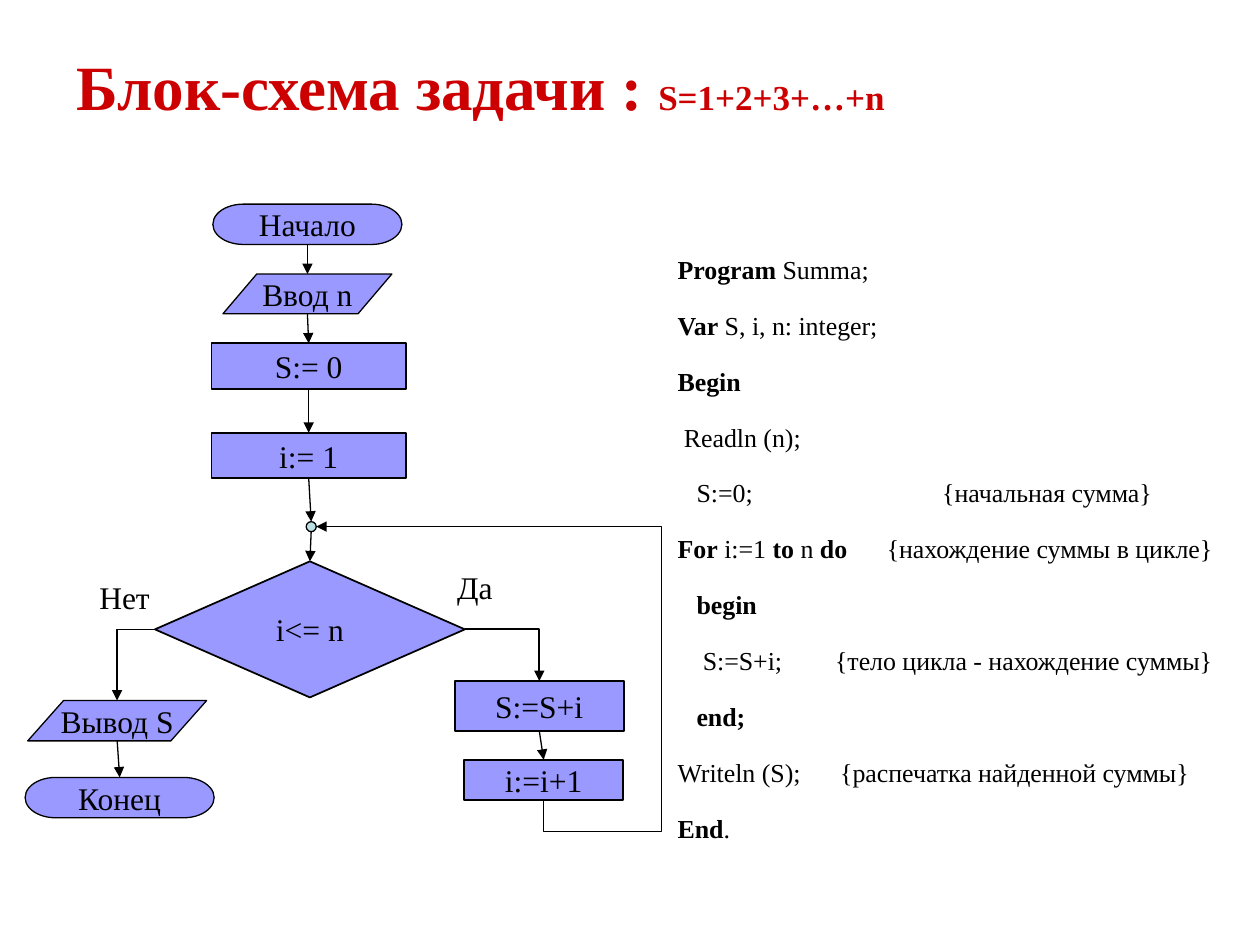
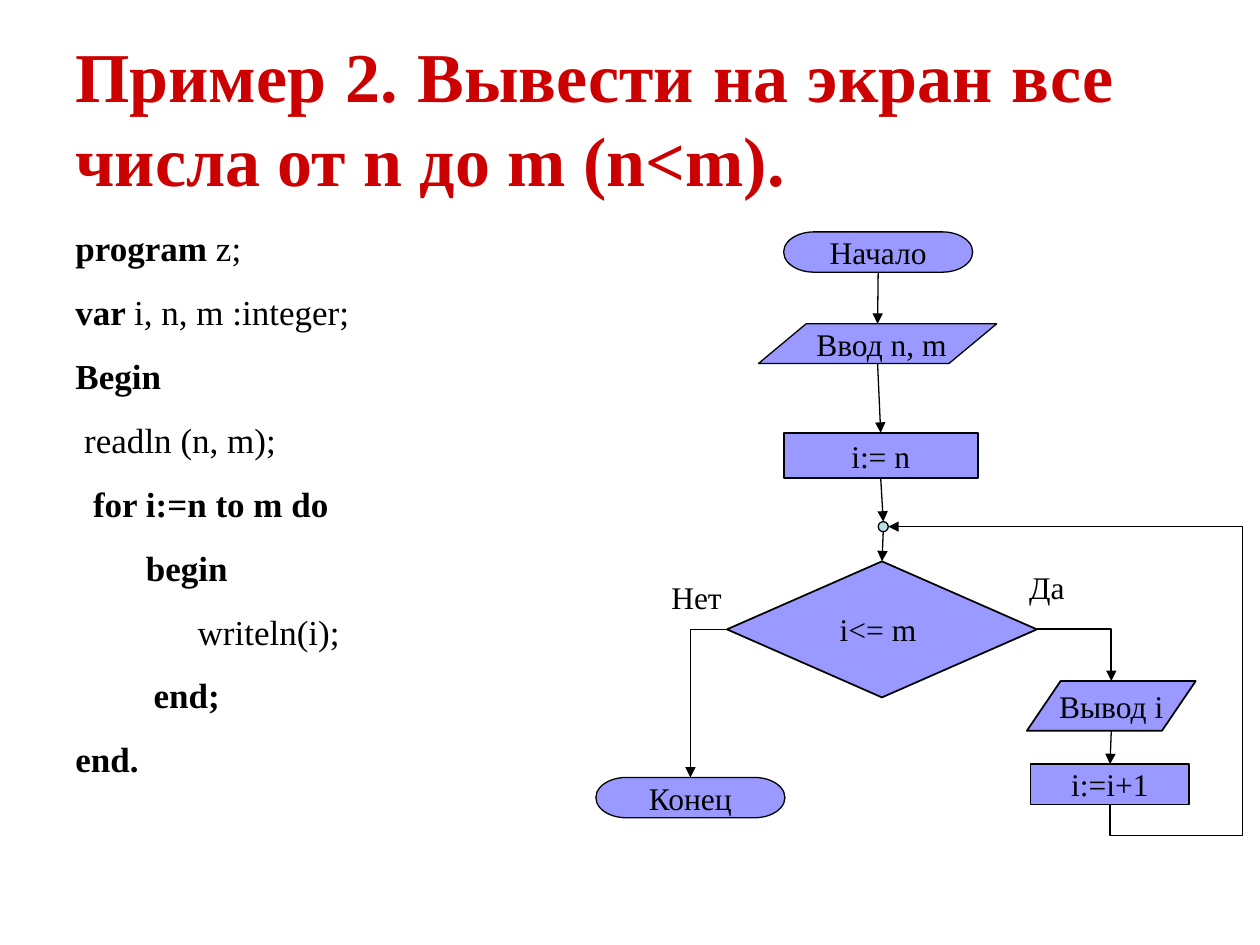
from lxml import etree
from pptx import Presentation
from pptx.dml.color import RGBColor
from pptx.enum.shapes import MSO_CONNECTOR, MSO_SHAPE
from pptx.enum.text import MSO_ANCHOR, PP_ALIGN
from pptx.oxml.ns import qn
from pptx.util import Inches, Pt

BLACK = RGBColor(0x00, 0x00, 0x00)
RED = RGBColor(0xCC, 0x00, 0x00)
LILAC = RGBColor(0x99, 0x99, 0xFF)
AQUA = RGBColor(0xBB, 0xE0, 0xE3)
FONT = "Times New Roman"
CELL = Inches(0.1)
COLS, ROWS = 100, 75
TOP, LEFT, BOTTOM, RIGHT = range(4)
STEP = MSO_SHAPE.FLOWCHART_PROCESS
TEST = MSO_SHAPE.FLOWCHART_DECISION
CAP = MSO_SHAPE.FLOWCHART_TERMINATOR
DATA = MSO_SHAPE.FLOWCHART_DATA
JOINT = MSO_SHAPE.FLOWCHART_CONNECTOR
STRAIGHT, ELBOW = MSO_CONNECTOR.STRAIGHT, MSO_CONNECTOR.ELBOW
MIDDLE = MSO_ANCHOR.MIDDLE
CENTER, JUSTIFY = PP_ALIGN.CENTER, PP_ALIGN.JUSTIFY
DROP = 2.5


def grid(*cells):
    """Turn grid cells into slide lengths."""
    return [int(n * CELL) for n in cells]


def write(para, text, size, color=BLACK, bold=False):
    """Add one run to a paragraph."""
    run = para.add_run()
    run.text = text
    font = run.font
    font.name, font.size, font.bold = FONT, Pt(size), bold
    font.color.rgb = color


def frame(slide, box):
    """Add a wrapping text box and return its text frame."""
    text = slide.shapes.add_textbox(*grid(*box)).text_frame
    text.word_wrap = True
    return text


def title(slide, box, runs, align=None):
    """Place the red heading, given as text and size pairs."""
    text = frame(slide, box)
    text.vertical_anchor = MIDDLE
    para = text.paragraphs[0]
    para.alignment = align
    for words, size in runs:
        write(para, words, size, RED, True)


def code(slide, box, lines, size, before, pitch):
    """List a program; a star marks a bold run, numbers are tab stops."""
    text = frame(slide, box)
    for index, (stops, *runs) in enumerate(lines):
        para = text.add_paragraph() if index else text.paragraphs[0]
        para.space_before, para.line_spacing = Pt(before), pitch
        if stops:
            tabs = etree.SubElement(para._p.get_or_add_pPr(), qn("a:tabLst"))
            for stop in stops:
                etree.SubElement(tabs, qn("a:tab"), pos=str(Inches(stop)), algn="l")
        for words in runs:
            write(para, words.removeprefix("*"), size, bold=words.startswith("*"))


def label(slide, box, words):
    """Name a branch of the test."""
    para = frame(slide, box).paragraphs[0]
    para.space_before = Pt(11.2)
    write(para, words, 18)


def node(slide, left, kind, box, words="", width=0.75, fill=LILAC):
    """Add one block of the chart."""
    x, y, w, h = box
    shape = slide.shapes.add_shape(kind, *grid(left + x, y, w, h))
    shape.shadow.inherit = False
    shape.fill.solid()
    shape.fill.fore_color.rgb = fill
    shape.line.color.rgb = BLACK
    shape.line.width = Pt(width)
    if words:
        text = shape.text_frame
        text.word_wrap = False
        text.vertical_anchor = MIDDLE
        text.paragraphs[0].alignment = CENTER
        write(text.paragraphs[0], words, 18)
    return shape


def spot(shape, side):
    """Return the middle of one side of a block."""
    across = {LEFT: 0, RIGHT: shape.width}.get(side, shape.width // 2)
    down = {TOP: 0, BOTTOM: shape.height}.get(side, shape.height // 2)
    return shape.left + across, shape.top + down


def arrow(slide, kind, start, end, width=0.75):
    """Draw a black connector with an arrowhead at its end."""
    line = slide.shapes.add_connector(kind, *start, *end)
    line.line.color.rgb = BLACK
    line.line.width = Pt(width)
    etree.SubElement(line.line._get_or_add_ln(), qn("a:tailEnd"), type="triangle")
    etree.SubElement(line._element.spPr, qn("a:effectLst"))
    return line


def link(slide, upper, lower):
    """Join two blocks from bottom to top."""
    line = arrow(slide, STRAIGHT, spot(upper, BOTTOM), spot(lower, TOP))
    fixed = (STEP, TEST, CAP)
    if upper.auto_shape_type in fixed:
        line.begin_connect(upper, BOTTOM)
    if lower.auto_shape_type in fixed:
        line.end_connect(lower, TOP)


def bend(slide, test, side, goal, width=0.75):
    """Lead a branch sideways from the test and down to its goal."""
    line = arrow(slide, ELBOW, spot(test, side), spot(goal, TOP), width)
    line._element.spPr.find(qn("a:prstGeom")).set("prst", "bentConnector2")


def loop(slide, last, joint, edge):
    """Lead the loop back from the last block, round the edge, to the joint."""
    (x, y), (goal, head) = spot(last, BOTTOM), spot(joint, RIGHT)
    wide, high = y - head, x - goal
    left, top = (x + goal - wide) // 2, (y + head - high) // 2
    line = arrow(slide, ELBOW, (left, top + high), (left + wide, top))
    props = line._element.spPr
    props.find(qn("a:xfrm")).set("rot", str(270 * 60000))
    shape = props.find(qn("a:prstGeom"))
    shape.set("prst", "bentConnector4")
    guides = shape.find(qn("a:avLst"))
    if guides is None:
        guides = etree.SubElement(shape, qn("a:avLst"))
    shares = (-DROP * CELL / wide, -(edge * CELL - x) / high)
    for index, share in enumerate(shares, 1):
        etree.SubElement(guides, qn("a:gd"), name=f"adj{index}",
                         fmla=f"val {round(share * 100000)}")


def flow(slide, left, edge, head, test, body, tail):
    """Place a loop chart: head blocks, test, body and tail blocks."""
    def chain(parts):
        blocks = [node(slide, left, *part) for part in parts]
        for pair in zip(blocks, blocks[1:]):
            link(slide, *pair)
        return blocks

    start = chain(head)
    joint = node(slide, left, JOINT, (24.3, 41.4, 0.8, 0.8), fill=AQUA)
    check = node(slide, left, TEST, (12.3, 44.55, 24.6, 10.8), test, 1)
    link(slide, start[-1], joint)
    link(slide, joint, check)
    inner, outer = chain(body), chain(tail)
    bend(slide, check, RIGHT, inner[0], 1)
    bend(slide, check, LEFT, outer[0])
    loop(slide, inner[-1], joint, left + edge)
    label(slide, (left + 6.9, 45.4, 15, 4), "Нет")
    label(slide, (left + 35.3, 44.6, 15, 4), "Да")


def total(slide):
    """Build the slide on the sum of numbers."""
    title(slide, (5.1, 2.1, 90, 9.4),
          [("Блок-схема задачи : ", 36), ("S=1+2+3+…+n", 20)])
    code(slide, (52.8, 19.9, 48.4, 49.9), [
        ((), "*Program", " Summa;"),
        ((), "*Var", " S, i, n: integer;"),
        ((), "*Begin"),
        ((0.05,), "\tReadln (n);"),
        ((0.15, 2.1), "\tS:=0;\t{начальная сумма}"),
        ((1.66,), "*For", " i:=1", "* to", " n ", "*do",
         "\t{нахождение суммы в цикле}"),
        ((0.15,), "*\tbegin"),
        ((0.2, 1.25), "\tS:=S+i;\t{тело цикла - нахождение суммы}"),
        ((0.15,), "*\tend;"),
        ((1.29,), "Writeln (S);\t{распечатка найденной суммы}"),
        ((), "*End", "."),
    ], 14.8, 16, 0.9)
    flow(slide, 0, 52.5, [
        (CAP, (16.9, 16.2, 15, 3.2), "Начало"),
        (DATA, (17.7, 21.75, 13.4, 3.15), "Ввод n"),
        (STEP, (16.8, 27.25, 15.4, 3.6), "S:= 0", 1),
        (STEP, (16.8, 34.35, 15.4, 3.6), "i:= 1", 1),
    ], "i<= n", [
        (STEP, (36.1, 54.05, 13.4, 3.95), "S:=S+i", 1),
        (STEP, (36.85, 60.3, 12.6, 3.2), "i:=i+1", 1),
    ], [
        (DATA, (2.2, 55.6, 14.2, 3.2), "Вывод S"),
        (CAP, (2, 61.7, 15, 3.2), "Конец"),
    ])


def series(slide):
    """Build the slide on printing numbers."""
    title(slide, (5, 3, 84.4, 12.5),
          [("Пример 2. Вывести на экран все числа от n до m (n<m).", 40)], JUSTIFY)
    code(slide, (5, 17.5, 44.2, 49.5), [
        ((), "*program ", "z;"),
        ((), "*var ", "i, n, m :integer;"),
        ((), "*Begin"),
        ((0.07,), "\treadln (n, m);"),
        ((0.14,), "*\tfor i:=n to m do"),
        ((0.56,), "*\tbegin"),
        ((0.97,), "\twriteln(i);"),
        ((0.62,), "*\tend;"),
        ((), "*end."),
    ], 20, 12.5, 1.0)
    flow(slide, 45.4, 53.2, [
        (CAP, (16.8, 18.4, 15, 3.2), "Начало"),
        (DATA, (14.8, 25.7, 18.9, 3.15), " Ввод n, m"),
        (STEP, (16.8, 34.35, 15.4, 3.6), "i:= n", 1),
    ], "i<= m ", [
        (DATA, (36.1, 54.05, 13.4, 3.95), "Вывод i", 1),
        (STEP, (36.4, 60.65, 12.6, 3.2), "i:=i+1", 1),
    ], [
        (CAP, (1.9, 61.7, 15, 3.2), "Конец"),
    ])


def main():
    """Build and save both slides."""
    deck = Presentation()
    deck.slide_width, deck.slide_height = grid(COLS, ROWS)
    for build in (total, series):
        build(deck.slides.add_slide(deck.slide_layouts[6]))
    deck.save("out.pptx")


if __name__ == "__main__":
    main()
